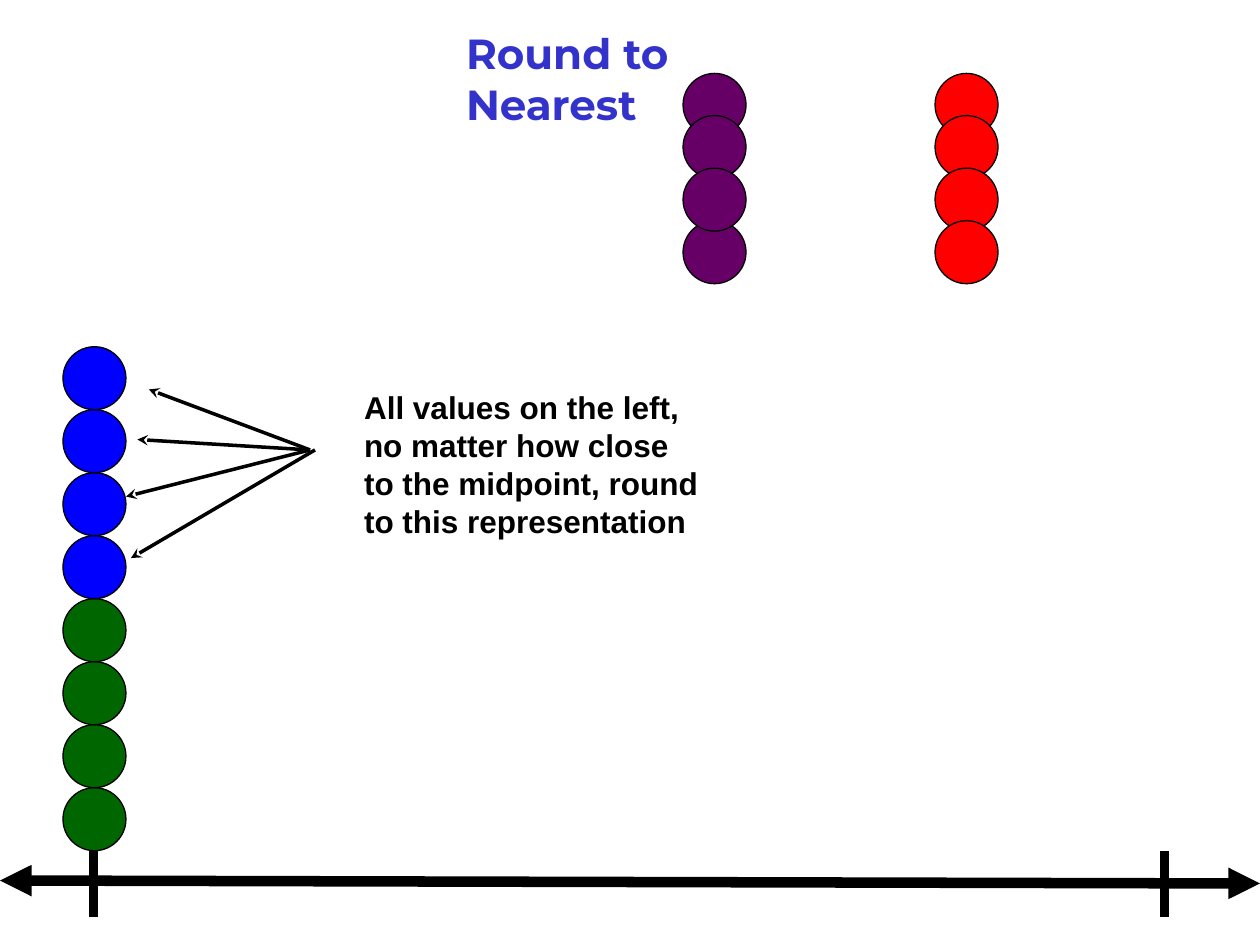
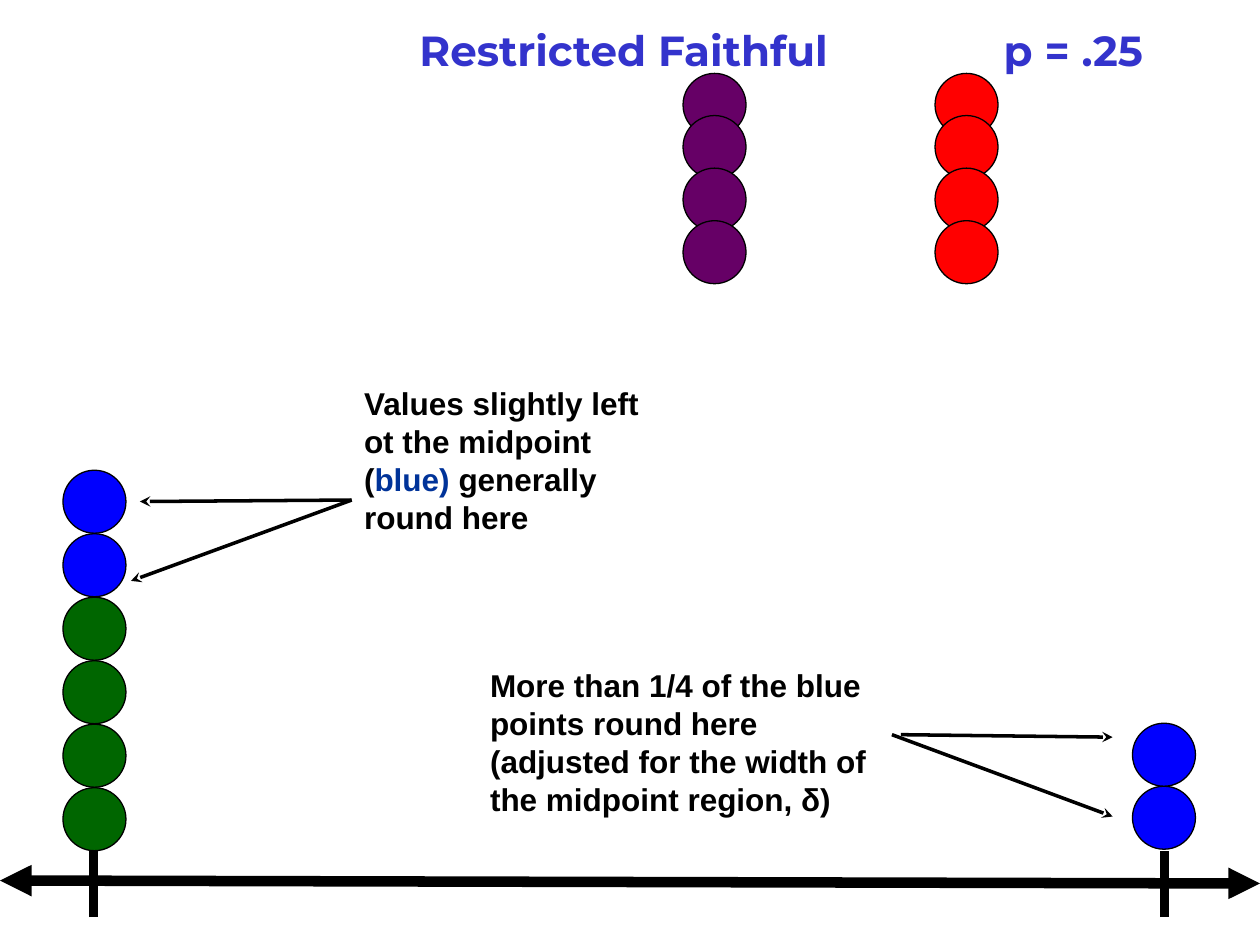
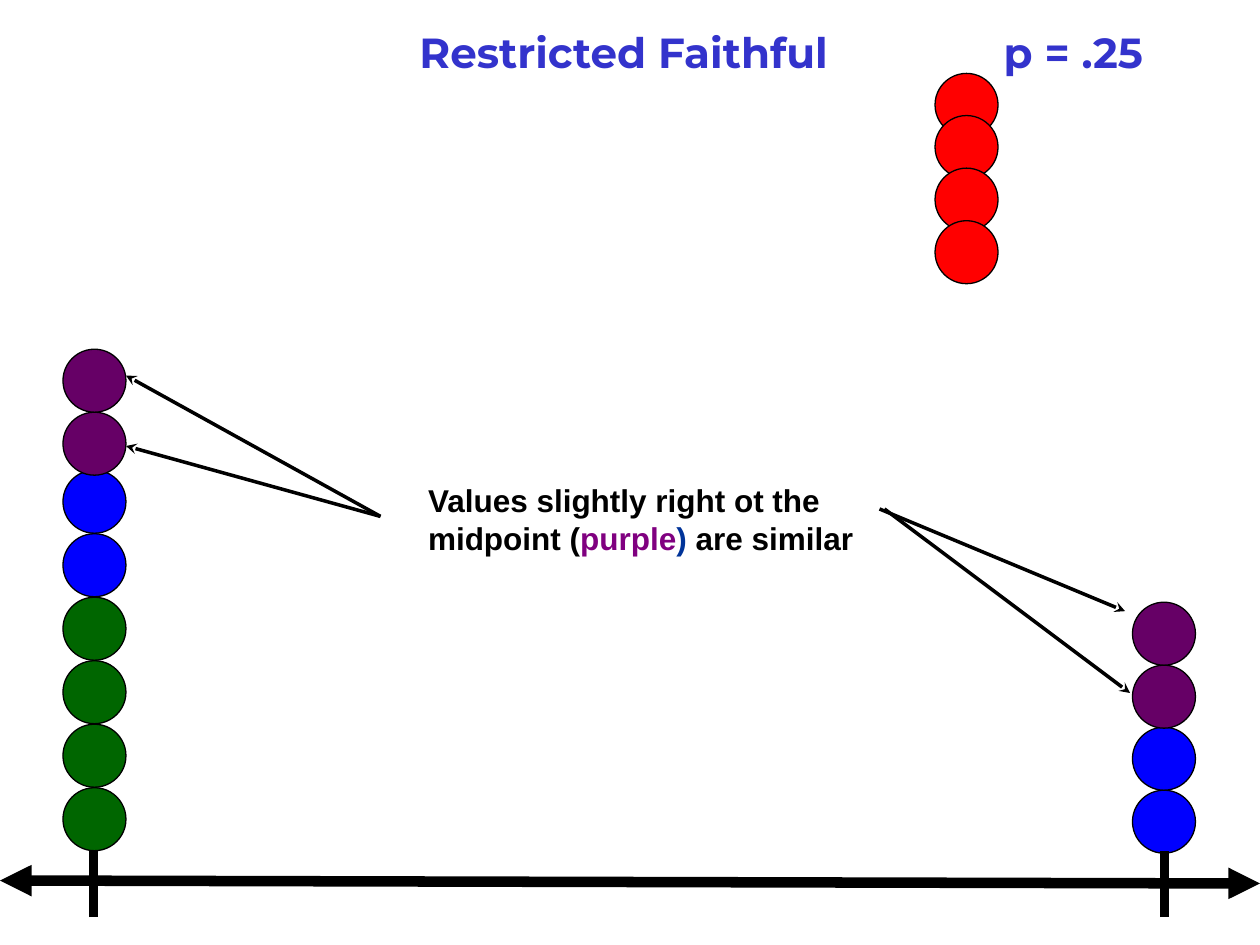
from dataclasses import dataclass

from pptx import Presentation
from pptx.dml.color import RGBColor
from pptx.enum.shapes import MSO_CONNECTOR, MSO_SHAPE
from pptx.enum.text import MSO_ANCHOR, MSO_AUTO_SIZE, PP_ALIGN
from pptx.oxml.ns import qn
from pptx.slide import Slide
from pptx.text.text import _Run
from pptx.util import Cm, Pt
from lxml import etree

OVAL = MSO_SHAPE.OVAL
STRAIGHT = MSO_CONNECTOR.STRAIGHT
TOP = MSO_ANCHOR.TOP
LEFT = PP_ALIGN.LEFT
FIXED = MSO_AUTO_SIZE.NONE

BLACK = RGBColor(0x00, 0x00, 0x00)
GREEN = RGBColor(0x00, 0x66, 0x00)
BLUE = RGBColor(0x00, 0x00, 0xFF)
PURPLE = RGBColor(0x66, 0x00, 0x66)
RED = RGBColor(0xFF, 0x00, 0x00)
NAVY = RGBColor(0x00, 0x33, 0x99)
PLUM = RGBColor(0x80, 0x00, 0x80)
INDIGO = RGBColor(0x33, 0x33, 0xCC)

BODY_FONT = "Arial"
TITLE_FONT = "Montserrat"

# All lengths below are in centimetres.
BALL = 1.27
LOW_X, HIGH_X = 1.27, 22.83
MID_X, FAR_X = 13.77, 18.85
DROP = (1.48, 2.33, 3.39, 4.45)
TICKS = (1.88, 23.47)
TITLE_TAB = 11.78

Point = tuple[float, float]
Span = tuple[str, RGBColor]


@dataclass(frozen=True)
class Pile:
    x: float
    tops: tuple[float, ...]
    color: RGBColor


@dataclass(frozen=True)
class Arrow:
    start: Point
    end: Point


@dataclass(frozen=True)
class Note:
    x: float
    y: float
    width: float
    height: float
    spans: tuple[Span, ...]


@dataclass(frozen=True)
class Title:
    text: str
    x: float
    y: float
    width: float


@dataclass(frozen=True)
class Scene:
    title: Title
    piles: tuple[Pile, ...]
    arrows: tuple[Arrow, ...]
    notes: tuple[Note, ...]


def rise(base: float, count: int, step: float = BALL) -> tuple[float, ...]:
    """Tops of balls stacked upward from the one at base."""
    return tuple(base - step * i for i in range(count))


def fan(start: Point, *ends: Point) -> tuple[Arrow, ...]:
    """Arrows from one point to several."""
    return tuple(Arrow(start, end) for end in ends)


def style(run: _Run, name: str, size: int, color: RGBColor) -> None:
    font = run.font
    font.name = name
    font.size = Pt(size)
    font.bold = True
    font.color.rgb = color


def add_title(slide: Slide, title: Title) -> None:
    shape = slide.shapes.title
    shape.left, shape.top = Cm(title.x), Cm(title.y)
    shape.width, shape.height = Cm(title.width), Cm(1.27)
    frame = shape.text_frame
    frame.text = title.text
    frame.word_wrap = True
    frame.auto_size = FIXED
    frame.vertical_anchor = TOP
    para = frame.paragraphs[0]
    para.alignment = LEFT
    tabs = etree.SubElement(para._p.get_or_add_pPr(), qn("a:tabLst"))
    etree.SubElement(tabs, qn("a:tab"), pos=str(Cm(TITLE_TAB)), algn="l")
    for run in para.runs:
        style(run, TITLE_FONT, 24, INDIGO)


def add_pile(slide: Slide, pile: Pile) -> None:
    for top in pile.tops:
        ball = slide.shapes.add_shape(OVAL, Cm(pile.x), Cm(top), Cm(BALL), Cm(BALL))
        ball.shadow.inherit = False
        ball.fill.solid()
        ball.fill.fore_color.rgb = pile.color
        ball.line.color.rgb = BLACK
        ball.line.width = Pt(0.75)


def add_line(slide: Slide, start: Point, end: Point, width: float,
             head: str = "", tail: str = "") -> None:
    line = slide.shapes.add_connector(STRAIGHT, *map(Cm, start + end))
    line.line.color.rgb = BLACK
    line.line.width = Pt(width)
    props = line._element.spPr
    for tag, kind in (("a:headEnd", head), ("a:tailEnd", tail)):
        if kind:
            etree.SubElement(props.find(qn("a:ln")), qn(tag), type=kind)
    etree.SubElement(props, qn("a:effectLst"))


def add_axis(slide: Slide) -> None:
    add_line(slide, (0, 17.75), (25.4, 17.81), 6, "triangle", "triangle")
    for x in TICKS:
        add_line(slide, (x, 18.49), (x, 17.15), 5)


def add_note(slide: Slide, note: Note) -> None:
    box = slide.shapes.add_textbox(Cm(note.x), Cm(note.y), Cm(note.width), Cm(note.height))
    frame = box.text_frame
    frame.word_wrap = True
    for text, color in note.spans:
        run = frame.paragraphs[0].add_run()
        run.text = text
        style(run, BODY_FONT, 18, color)


FAITHFUL = "Restricted Faithful\tp = .25"
RED_PILE = Pile(FAR_X, DROP, RED)
LOW_PILES = (
    Pile(LOW_X, rise(15.88, 4, 1.28), GREEN),
    Pile(LOW_X, rise(10.76, 2, 1.28), BLUE),
)

SCENES = (
    Scene(
        Title("Round to Nearest", 9.14, 0.43, 7.95),
        (
            Pile(LOW_X, rise(15.88, 4), GREEN),
            Pile(LOW_X, rise(10.8, 4), BLUE),
            Pile(MID_X, DROP[-1:] + DROP[:-1], PURPLE),
            RED_PILE,
        ),
        fan((6.35, 9.07), (2.64, 11.25))
        + fan((6.25, 9.07), (2.54, 10.01), (2.77, 8.86), (3.0, 7.85)),
        (
            Note(7.09, 7.7, 7.29, 3.3, (
                ("All values on the left, no matter how close to the midpoint, "
                 "round to this representation", BLACK),
            )),
        ),
    ),
    Scene(
        Title(FAITHFUL, 8.2, 0.36, 17.02),
        LOW_PILES + (
            Pile(HIGH_X, rise(15.85, 2), BLUE),
            Pile(MID_X, DROP, PURPLE),
            RED_PILE,
        ),
        fan((7.09, 10.08), (2.64, 11.71), (2.82, 10.11))
        + fan((17.98, 14.81), (22.43, 16.46))
        + fan((18.16, 14.81), (22.43, 14.86)),
        (
            Note(7.09, 7.62, 6.17, 3.3, (
                ("Values slightly left ot the midpoint (", BLACK),
                ("blue)", NAVY),
                (" generally round here", BLACK),
            )),
            Note(9.63, 13.31, 8.53, 3.3, (
                ("More than 1/4 of the blue points round here (adjusted for "
                 "the width of the midpoint region, δ)", BLACK),
            )),
        ),
    ),
    Scene(
        Title(FAITHFUL, 8.2, 0.41, 17.02),
        LOW_PILES + (
            Pile(LOW_X, rise(8.31, 2), PURPLE),
            Pile(HIGH_X, rise(15.93, 2), BLUE),
            Pile(HIGH_X, rise(13.41, 2), PURPLE),
            RED_PILE,
        ),
        fan((7.67, 10.41), (2.54, 8.99), (2.54, 7.57))
        + fan((17.83, 10.26), (22.78, 13.97))
        + fan((17.73, 10.26), (22.68, 12.32)),
        (
            Note(8.38, 9.58, 10.85, 1.78, (
                ("Values slightly right ot the midpoint (", BLACK),
                ("purple", PLUM),
                (")", NAVY),
                (" are similar", BLACK),
            )),
        ),
    ),
)


def main() -> None:
    deck = Presentation()
    deck.slide_width, deck.slide_height = Cm(25.4), Cm(19.05)
    layout = deck.slide_layouts.get_by_name("Title Only")
    for scene in SCENES:
        slide = deck.slides.add_slide(layout)
        add_title(slide, scene.title)
        for pile in scene.piles:
            add_pile(slide, pile)
        add_axis(slide)
        for arrow in scene.arrows:
            add_line(slide, arrow.start, arrow.end, 2, tail="stealth")
        for note in scene.notes:
            add_note(slide, note)
    deck.save("out.pptx")


if __name__ == "__main__":
    main()
